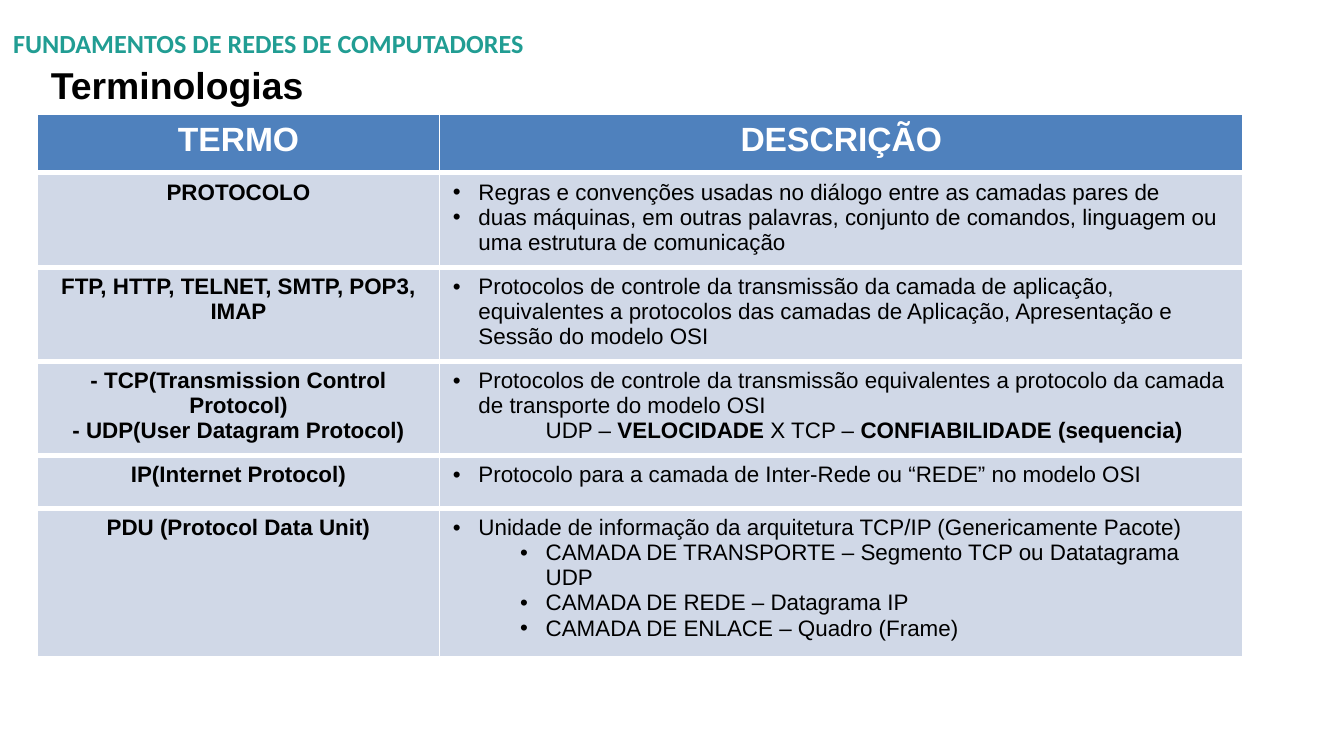
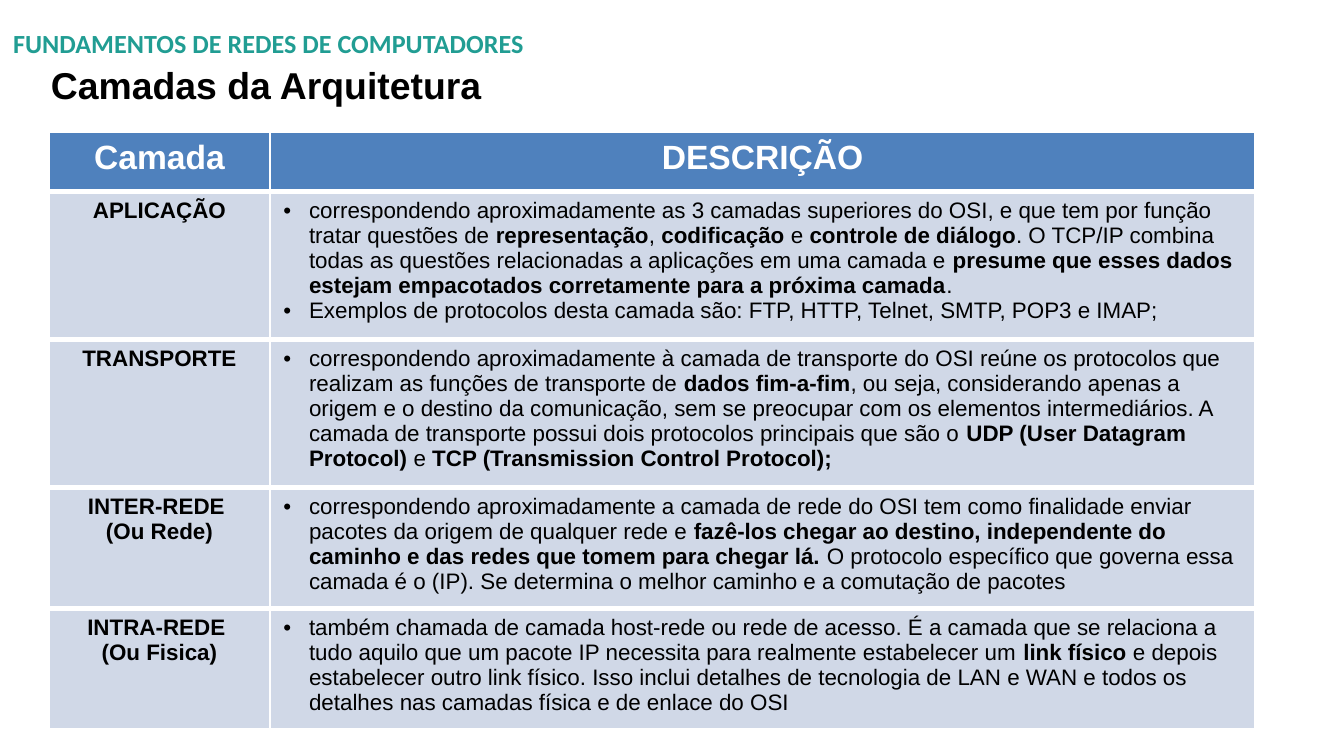
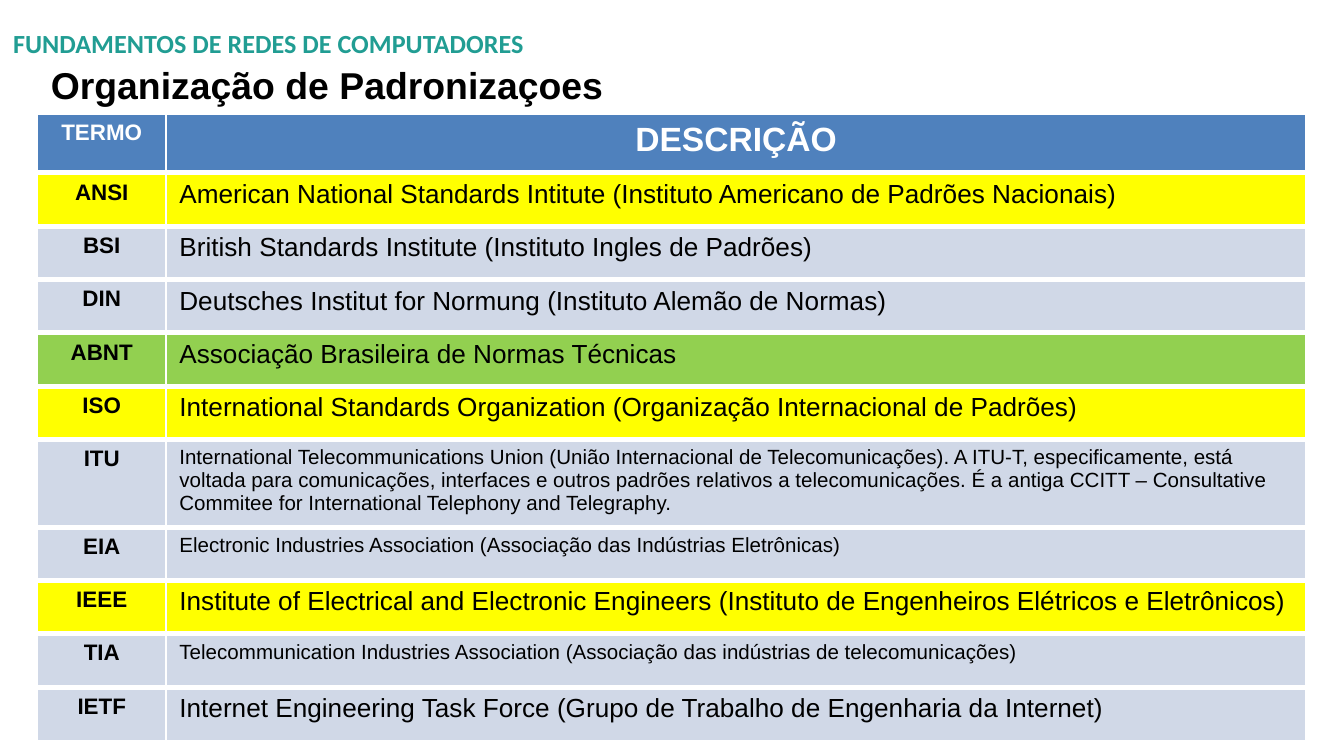
"""Build three slides of tables about computer network fundamentals."""
from dataclasses import dataclass

from lxml import etree
from pptx import Presentation
from pptx.dml.color import RGBColor
from pptx.enum.text import MSO_AUTO_SIZE, PP_ALIGN
from pptx.oxml.ns import qn
from pptx.util import Emu, Inches, Pt

LEFT, CENTER = PP_ALIGN.LEFT, PP_ALIGN.CENTER
FIT_SHAPE = MSO_AUTO_SIZE.SHAPE_TO_FIT_TEXT


@dataclass(frozen=True)
class Theme:
    body_font: str = "Arial"
    course_font: str = "Calibri"
    teal: str = "219D93"
    black: str = "000000"
    white: str = "FFFFFF"
    blue: str = "4F81BD"
    pale: str = "D0D8E7"
    yellow: str = "FFFF00"
    green: str = "92D050"
    title_size: int = 20
    header_size: int = 18
    large_size: int = 14
    text_size: int = 12
    small_size: int = 11
    thin_border: float = 0.96
    thick_border: float = 3


theme = Theme()

BASE = {"font": theme.body_font, "size": theme.text_size, "color": theme.black,
        "bold": False, "alignment": LEFT, "level": 0}
HEADER = {**BASE, "size": theme.header_size, "color": theme.white,
          "bold": True, "alignment": CENTER}
BULLET = {**BASE, "level": 1, "margin": 0.19, "hanging": 0.19, "bullet": "•"}
STYLES = {
    "course": {**BASE, "font": theme.course_font, "size": theme.large_size,
               "color": theme.teal, "bold": True},
    "title": {**BASE, "size": theme.title_size, "bold": True},
    "header": HEADER,
    "small header": {**HEADER, "size": theme.text_size},
    "term": {**BASE, "bold": True, "alignment": CENTER},
    "bullet": BULLET,
    "sub-bullet": {**BULLET, "level": 2, "margin": 0.69},
    "indented": {**BASE, "level": 1, "margin": 0.69, "hanging": 0},
    "large": {**BASE, "size": theme.large_size},
    "small": {**BASE, "size": theme.small_size},
}


def write_text(text_frame, entries):
    """Write (style, text) entries as paragraphs, toggling bold at each **."""
    for index, (style_name, text) in enumerate(entries):
        style = STYLES[style_name]
        paragraph = text_frame.paragraphs[0] if index == 0 else text_frame.add_paragraph()
        for name in ("alignment", "level"):
            setattr(paragraph, name, style[name])
        properties = paragraph._p.get_or_add_pPr()
        if "margin" in style:
            properties.set("marL", str(Inches(style["margin"])))
            properties.set("indent", str(-Inches(style["hanging"])))
        if "bullet" in style:
            color = etree.SubElement(properties, qn("a:buClr"))
            etree.SubElement(color, qn("a:srgbClr"), val=style["color"])
            etree.SubElement(properties, qn("a:buFont"), typeface=style["font"])
            etree.SubElement(properties, qn("a:buChar"), char=style["bullet"])
        for position, piece in enumerate(text.split("**")):
            if piece:
                run = paragraph.add_run()
                run.text = piece
                font_format = {"name": style["font"], "size": Pt(style["size"]),
                               "bold": style["bold"] or position % 2 == 1}
                for name, value in font_format.items():
                    setattr(run.font, name, value)
                run.font.color.rgb = RGBColor.from_string(style["color"])


def format_cell(cell, fill, top, bottom):
    """Give a cell white borders and a solid fill."""
    properties = cell._tc.get_or_add_tcPr()
    widths = {"a:lnL": theme.thin_border, "a:lnR": theme.thin_border,
              "a:lnT": top, "a:lnB": bottom}
    for tag, width in widths.items():
        line = etree.SubElement(properties, qn(tag), w=str(Pt(width)))
        line_fill = etree.SubElement(line, qn("a:solidFill"))
        etree.SubElement(line_fill, qn("a:srgbClr"), val=theme.white)
    cell.fill.solid()
    cell.fill.fore_color.rgb = RGBColor.from_string(fill)


COURSE = "FUNDAMENTOS DE REDES DE COMPUTADORES"
LINE = 3.97

TERMS = [
    (7, theme.pale, ["PROTOCOLO"], [
        ("bullet", "Regras e convenções usadas no diálogo entre as camadas pares de"),
        ("bullet", "duas máquinas, em outras palavras, conjunto de comandos, linguagem ou "
                   "uma estrutura de comunicação")]),
    (7, theme.pale, ["FTP, HTTP, TELNET, SMTP, POP3, IMAP"], [
        ("bullet", "Protocolos de controle da transmissão da camada de aplicação, "
                   "equivalentes a protocolos das camadas de Aplicação, Apresentação e "
                   "Sessão do modelo OSI")]),
    (7, theme.pale, ["- TCP(Transmission Control Protocol)", "- UDP(User Datagram Protocol)"], [
        ("bullet", "Protocolos de controle da transmissão equivalentes a protocolo da camada "
                   "de transporte do modelo OSI"),
        ("indented", "UDP – **VELOCIDADE** X TCP – **CONFIABILIDADE (sequencia)**")]),
    (LINE, theme.pale, ["IP(Internet Protocol)"], [
        ("bullet", "Protocolo para a camada de Inter-Rede ou “REDE” no modelo OSI")]),
    (11, theme.pale, ["PDU (Protocol Data Unit)"], [
        ("bullet", "Unidade de informação da arquitetura TCP/IP (Genericamente Pacote)"),
        ("sub-bullet", "CAMADA DE TRANSPORTE – Segmento TCP ou Datatagrama UDP"),
        ("sub-bullet", "CAMADA DE REDE – Datagrama IP"),
        ("sub-bullet", "CAMADA DE ENLACE – Quadro (Frame)")]),
]

LAYERS = [
    (11, theme.pale, ["APLICAÇÃO"], [
        ("bullet", "correspondendo aproximadamente as 3 camadas superiores do OSI, e que tem por "
                   "função tratar questões de **representação**, **codificação** e **controle de "
                   "diálogo**. O TCP/IP combina todas as questões relacionadas a aplicações em "
                   "uma camada e** presume que esses dados estejam empacotados corretamente para "
                   "a próxima camada**."),
        ("bullet", "Exemplos de protocolos desta camada são: FTP, HTTP, Telnet, SMTP, POP3 e "
                   "IMAP;")]),
    (11, theme.pale, ["TRANSPORTE"], [
        ("bullet", "correspondendo aproximadamente à camada de transporte do OSI reúne os "
                   "protocolos que realizam as funções de transporte de **dados fim-a-fim**, ou "
                   "seja, considerando apenas a origem e o destino da comunicação, sem se "
                   "preocupar com os elementos intermediários. A camada de transporte possui dois "
                   "protocolos principais que são o **UDP (User Datagram Protocol)** e "
                   "**TCP (Transmission Control Protocol);**")]),
    (9, theme.pale, ["INTER-REDE ", "(Ou Rede)"], [
        ("bullet", "correspondendo aproximadamente a camada de rede do OSI tem como finalidade "
                   "enviar pacotes da origem de qualquer rede e **fazê-los chegar ao destino, "
                   "independente do caminho e das redes que tomem para chegar lá. **O protocolo "
                   "específico que governa essa camada é o (IP). Se determina o melhor caminho e "
                   "a comutação de pacotes")]),
    (9, theme.pale, ["INTRA-REDE ", "(Ou Fisica)"], [
        ("bullet", "também chamada de camada host-rede ou rede de acesso. É a camada que se "
                   "relaciona a tudo aquilo que um pacote IP necessita para realmente estabelecer "
                   "um **link físico **e depois estabelecer outro link físico. Isso inclui "
                   "detalhes de tecnologia de LAN e WAN e todos os detalhes nas camadas física e "
                   "de enlace do OSI")]),
]

ORGANIZATIONS = [
    (LINE, theme.yellow, ["ANSI"], [
        ("large", "American National Standards Intitute (Instituto Americano de Padrões "
                  "Nacionais)")]),
    (LINE, theme.pale, ["BSI"], [
        ("large", "British Standards Institute (Instituto Ingles de Padrões)")]),
    (LINE, theme.pale, ["DIN"], [
        ("large", "Deutsches Institut for Normung (Instituto Alemão de Normas)")]),
    (LINE, theme.green, ["ABNT"], [
        ("large", "Associação Brasileira de Normas Técnicas")]),
    (LINE, theme.yellow, ["ISO"], [
        ("large", "International Standards Organization (Organização Internacional de Padrões)")]),
    (6.46, theme.pale, ["ITU"], [
        ("small", "International Telecommunications Union (União Internacional de "
                  "Telecomunicações). A ITU-T, especificamente, está voltada para comunicações, "
                  "interfaces e outros padrões relativos a telecomunicações. É a antiga CCITT – "
                  "Consultative Commitee for International Telephony and Telegraphy.")]),
    (LINE, theme.pale, ["EIA"], [
        ("small", "Electronic Industries Association (Associação das Indústrias Eletrônicas)")]),
    (LINE, theme.yellow, ["IEEE"], [
        ("large", "Institute of Electrical and Electronic Engineers (Instituto de Engenheiros "
                  "Elétricos e Eletrônicos)")]),
    (LINE, theme.pale, ["TIA"], [
        ("small", "Telecommunication Industries Association (Associação das indústrias de "
                  "telecomunicações)")]),
    (LINE, theme.pale, ["IETF"], [
        ("large", "Internet Engineering Task Force (Grupo de Trabalho de Engenharia da "
                  "Internet)")]),
]

SLIDES = [
    {"title": "Terminologias", "title_width": 20.9, "origin": (2.8, 8.47),
     "columns": (29.9, 59.8), "header": ("header", "TERMO"), "rows": TERMS},
    {"title": "Camadas da Arquitetura", "title_width": 34.3, "origin": (3.64, 9.84),
     "columns": (16.45, 73.3), "header": ("header", "Camada"), "rows": LAYERS},
    {"title": "Organização de Padronizaçoes", "title_width": 43.4, "origin": (2.8, 8.47),
     "columns": (9.55, 84.85), "header": ("small header", "TERMO"), "rows": ORGANIZATIONS},
]

presentation = Presentation()
presentation.slide_width = Inches(10)
presentation.slide_height = Emu(presentation.slide_width * 9 // 16)
unit = presentation.slide_width / 100
blank_layout = presentation.slide_layouts[6]

for content in SLIDES:
    slide = presentation.slides.add_slide(blank_layout)

    headings = [
        ("course", COURSE, (0, 1.55, 40.3, 3.3)),
        ("title", content["title"], (2.8, 4.15, content["title_width"], 4.4)),
    ]
    for style_name, text, box in headings:
        shape = slide.shapes.add_textbox(*(Emu(round(length * unit)) for length in box))
        shape.text_frame.word_wrap = False
        shape.text_frame.auto_size = FIT_SHAPE
        write_text(shape.text_frame, [(style_name, text)])

    rows = [(4.4, theme.blue, [content["header"]], [("header", "DESCRIÇÃO")])]
    for height, fill, terms, description in content["rows"]:
        rows.append((height, fill, [("term", term) for term in terms], description))

    box = (*content["origin"], sum(content["columns"]), sum(row[0] for row in rows))
    table = slide.shapes.add_table(
        len(rows), 2, *(Emu(round(length * unit)) for length in box)).table
    table.horz_banding = False
    for column, width in zip(table.columns, content["columns"]):
        column.width = Emu(round(width * unit))

    for index, (height, fill, *cell_texts) in enumerate(rows):
        table.rows[index].height = Emu(round(height * unit))
        top = theme.thin_border if index == 0 else theme.thick_border
        bottom = theme.thin_border if index == len(rows) - 1 else theme.thick_border
        for cell, entries in zip(table.rows[index].cells, cell_texts):
            format_cell(cell, fill, top, bottom)
            write_text(cell.text_frame, entries)

presentation.save("out.pptx")
